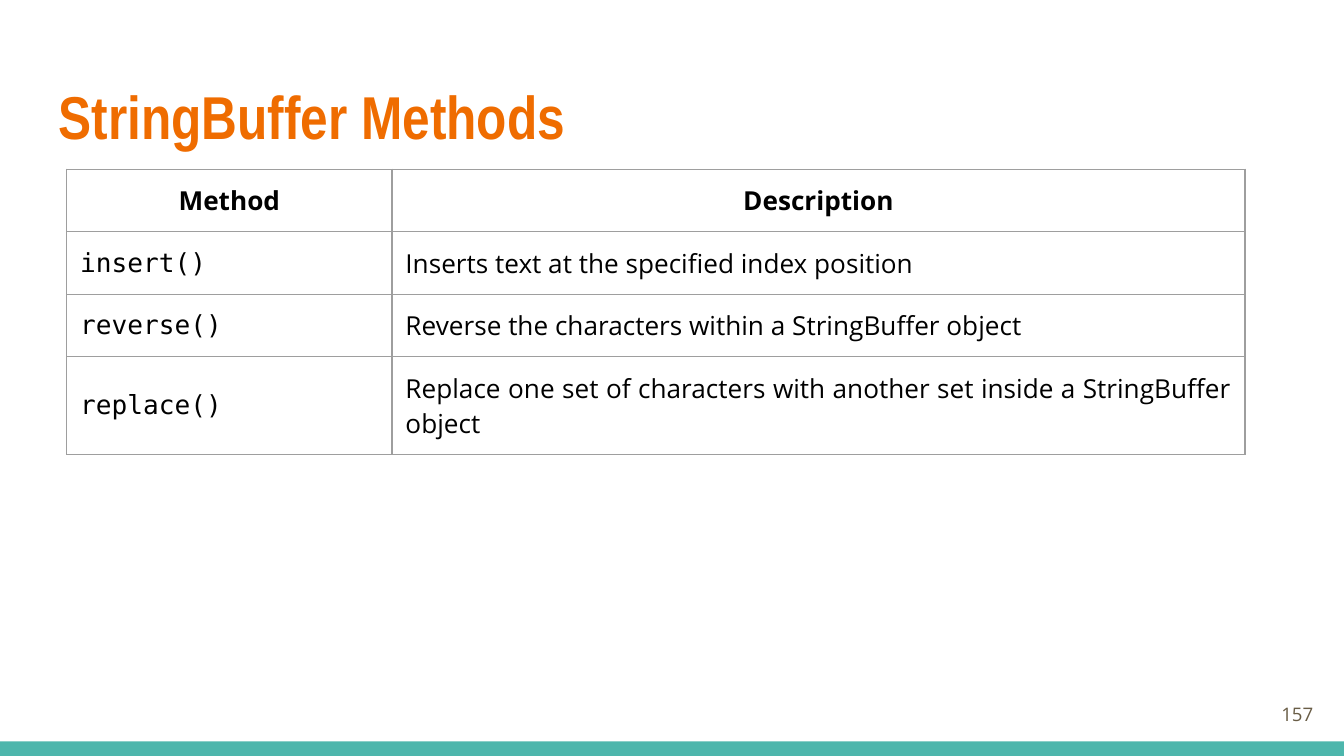
"""Build the StringBuffer methods slide with its reference table."""
from dataclasses import dataclass

from lxml.etree import SubElement
from pptx import Presentation
from pptx.dml.color import RGBColor
from pptx.enum.shapes import MSO_SHAPE as Shape
from pptx.enum.text import MSO_ANCHOR as Anchor, PP_ALIGN as Align
from pptx.oxml.ns import qn
from pptx.util import Pt

BODY_FONT, CODE_FONT = "Open Sans", "DejaVu Sans Mono"
INSET = Pt(7.2)


@dataclass(frozen=True)
class Style:
    size: float
    font: str = BODY_FONT
    color: str = "000000"
    bold: bool = False
    align: Align = Align.LEFT
    anchor: Anchor = Anchor.MIDDLE


@dataclass(frozen=True)
class Method:
    name: str
    description: str
    height: float = 33.5


TITLE = Style(32.4, "Arial Narrow", "EF6C00", bold=True, anchor=Anchor.TOP)
PAGE_NUMBER = Style(10, color="695D46", align=Align.RIGHT)
HEADING = Style(14, bold=True, align=Align.CENTER)
CODE = Style(14, CODE_FONT)
DESCRIPTION = Style(14, align=Align.JUSTIFY)

HEADER = Method("Method", "Description")
METHODS = [
    Method("insert()", "Inserts text at the specified index position"),
    Method("reverse()", "Reverse the characters within a StringBuffer object"),
    Method("replace()", "Replace one set of characters with another set inside a StringBuffer object", 52.5),
]
COLUMN_WIDTHS = [174.3, 457]


def rgb(color: str) -> RGBColor:
    return RGBColor.from_string(color)


def write(frame, text: str, style: Style) -> None:
    paragraph = frame.paragraphs[0]
    paragraph.alignment = style.align
    run = paragraph.add_run()
    run.text = text
    run.font.size = Pt(style.size)
    run.font.name = style.font
    run.font.bold = style.bold
    run.font.color.rgb = rgb(style.color)


def add_text(slide, text: str, style: Style, left: float, top: float, width: float, height: float) -> None:
    frame = slide.shapes.add_textbox(Pt(left), Pt(top), Pt(width), Pt(height)).text_frame
    frame.word_wrap = True
    frame.vertical_anchor = style.anchor
    frame.margin_left = frame.margin_right = frame.margin_top = frame.margin_bottom = INSET
    write(frame, text, style)


def add_borders(cell, color: str, width: float) -> None:
    properties = cell._tc.get_or_add_tcPr()
    for position, side in enumerate(("lnL", "lnR", "lnT", "lnB")):
        line = properties.makeelement(qn(f"a:{side}"), {"w": str(Pt(width))})
        fill = SubElement(line, qn("a:solidFill"))
        SubElement(fill, qn("a:srgbClr"), val=color)
        properties.insert(position, line)


def fill_cell(cell, text: str, style: Style) -> None:
    cell.fill.background()
    cell.vertical_anchor = style.anchor
    cell.margin_left = cell.margin_right = cell.margin_top = cell.margin_bottom = INSET
    write(cell.text_frame, text, style)
    add_borders(cell, "9E9E9E", 0.75)


def add_methods_table(slide, left: float, top: float) -> None:
    rows = [HEADER, *METHODS]
    height = sum(row.height for row in rows)
    table = slide.shapes.add_table(
        len(rows), len(COLUMN_WIDTHS), Pt(left), Pt(top), Pt(sum(COLUMN_WIDTHS)), Pt(height)
    ).table
    table.horz_banding = False
    for column, width in zip(table.columns, COLUMN_WIDTHS):
        column.width = Pt(width)
    for index, row in enumerate(rows):
        table.rows[index].height = Pt(row.height)
        styles = (HEADING, HEADING) if row is HEADER else (CODE, DESCRIPTION)
        for cell, text, style in zip(table.rows[index].cells, (row.name, row.description), styles):
            fill_cell(cell, text, style)


def add_footer_band(slide, top: float, width: float, height: float, color: str) -> None:
    band = slide.shapes.add_shape(Shape.RECTANGLE, Pt(0), Pt(top), Pt(width), Pt(height))
    band.shadow.inherit = False
    band.fill.solid()
    band.fill.fore_color.rgb = rgb(color)
    band.line.fill.background()


def main() -> None:
    deck = Presentation()
    deck.slide_width, deck.slide_height = Pt(720), Pt(405)
    slide = deck.slides.add_slide(deck.slide_layouts[6])
    add_footer_band(slide, 397.2, 720, 7.8, "4DB6AC")
    add_text(slide, "StringBuffer Methods", TITLE, 24.5, 35.3, 671, 55.4)
    add_text(slide, "157", PAGE_NUMBER, 667.4, 367.2, 43.2, 31)
    add_methods_table(slide, 35.75, 90.7)
    deck.save("out.pptx")


if __name__ == "__main__":
    main()
